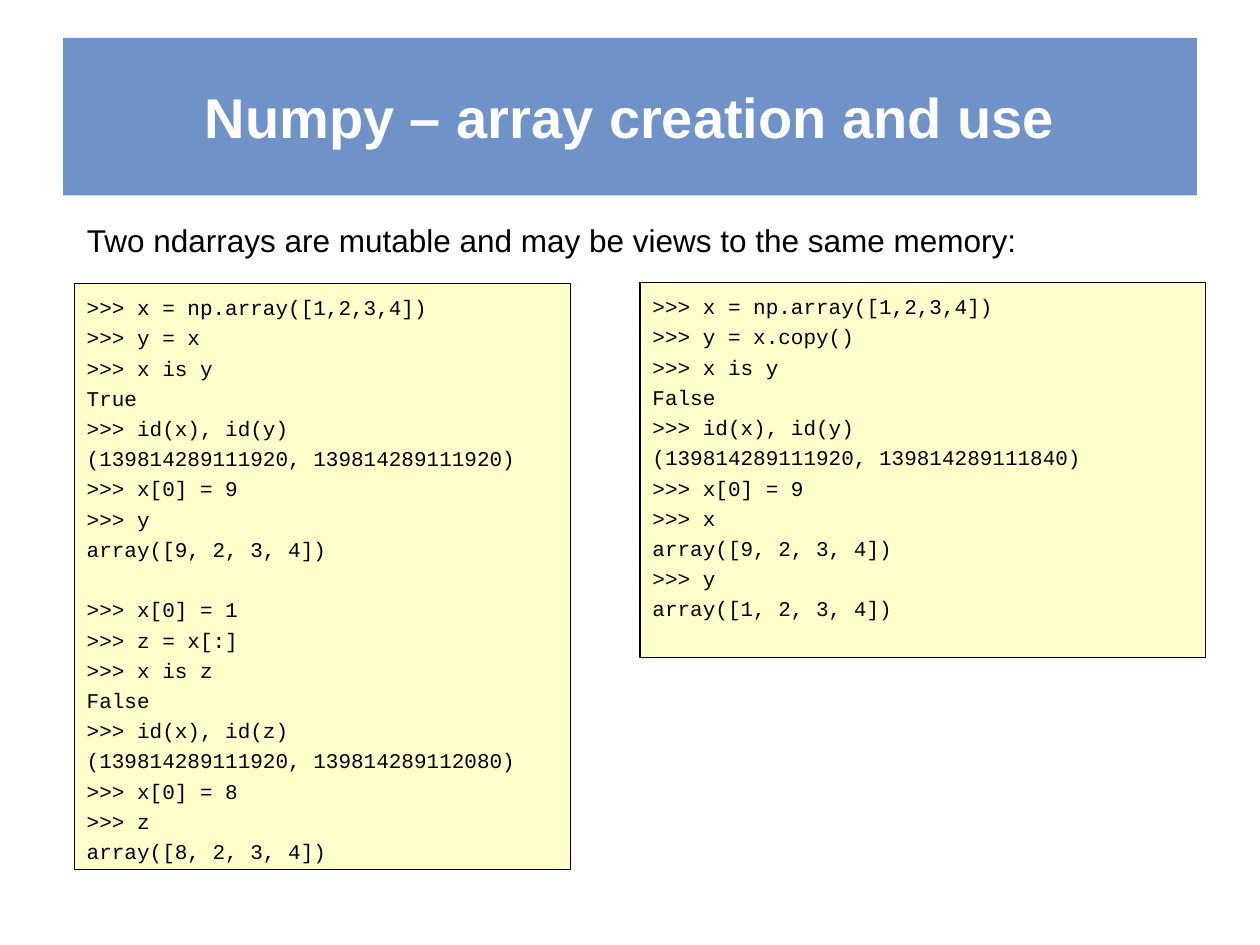
from dataclasses import dataclass
from lxml.etree import SubElement
from pptx import Presentation
from pptx.dml.color import RGBColor
from pptx.enum.shapes import MSO_SHAPE
from pptx.enum.text import MSO_ANCHOR, PP_ALIGN
from pptx.oxml.ns import qn
from pptx.util import Inches, Pt


@dataclass(frozen=True)
class Theme:
    banner: RGBColor = RGBColor.from_string("4775B9")
    banner_alpha: int = 78
    panel: RGBColor = RGBColor.from_string("FFFFCC")
    ink: RGBColor = RGBColor.from_string("000000")
    light: RGBColor = RGBColor.from_string("FFFFFF")
    sans: str = "Arial"
    mono: str = "Courier New"
    title_size: int = 32
    body_size: int = 18
    code_size: int = 12
    code_spacing: float = 1.2
    code_gap: float = 17.28


class Deck:
    def __init__(self, theme):
        self.theme = theme
        self.prs = Presentation()
        self.prs.slide_width, self.prs.slide_height = Inches(10), Inches(7.5)
        self.s = self.prs.slides.add_slide(self.prs.slide_layouts[1])

    def place(self, sp, x, y, w, h):
        width, height = self.prs.slide_width, self.prs.slide_height
        sp.left, sp.top = round(x * width), round(y * height)
        sp.width, sp.height = round(w * width), round(h * height)

    def run(self, p, text, font, size, color, bold=False):
        r = p.add_run()
        r.text = text
        r.font.name, r.font.size, r.font.bold = font, Pt(size), bold
        r.font.color.rgb = color

    def title(self, text, *box):
        t, sp = self.theme, self.s.shapes.title
        self.place(sp, *box)
        sp.fill.solid()
        sp.fill.fore_color.rgb = t.banner
        color = sp.fill._xPr.find(qn("a:solidFill"))[0]
        SubElement(color, qn("a:alpha"), val=str(t.banner_alpha * 1000))
        sp.text_frame.vertical_anchor = MSO_ANCHOR.MIDDLE
        p = sp.text_frame.paragraphs[0]
        p.alignment = PP_ALIGN.CENTER
        self.run(p, text, t.sans, t.title_size, t.light, True)

    def body(self, text, *box):
        t, sp = self.theme, self.s.placeholders[1]
        self.place(sp, *box)
        p = sp.text_frame.paragraphs[0]
        p.space_before = Pt(0)
        pPr = p._p.get_or_add_pPr()
        pPr.set("marL", "0")
        pPr.set("indent", "0")
        SubElement(pPr, qn("a:buNone"))
        self.run(p, text, t.sans, t.body_size, t.ink)

    def code(self, blocks, *box):
        t = self.theme
        sp = self.s.shapes.add_shape(MSO_SHAPE.RECTANGLE, 0, 0, 0, 0)
        self.place(sp, *box)
        sp.shadow.inherit = False
        sp.fill.solid()
        sp.fill.fore_color.rgb = t.panel
        sp.line.color.rgb = t.ink
        sp.line.width = Pt(0.75)
        tf = sp.text_frame
        tf.word_wrap = True
        tf.vertical_anchor = MSO_ANCHOR.TOP
        p = tf.paragraphs[0]
        for i, block in enumerate(blocks):
            for j, line in enumerate(block.splitlines()):
                if i or j:
                    p = tf.add_paragraph()
                p.alignment = PP_ALIGN.LEFT
                p.line_spacing = t.code_spacing
                p.space_before = Pt(t.code_gap if i and not j else 0)
                self.run(p, line, t.mono, t.code_size, t.ink)


SHARED = """\
>>> x = np.array([1,2,3,4])
>>> y = x
>>> x is y
True
>>> id(x), id(y)
(139814289111920, 139814289111920)
>>> x[0] = 9
>>> y
array([9, 2, 3, 4])"""

VIEW = """\
>>> x[0] = 1
>>> z = x[:]
>>> x is z
False
>>> id(x), id(z)
(139814289111920, 139814289112080)
>>> x[0] = 8
>>> z
array([8, 2, 3, 4])"""

COPY = """\
>>> x = np.array([1,2,3,4])
>>> y = x.copy()
>>> x is y
False
>>> id(x), id(y)
(139814289111920, 139814289111840)
>>> x[0] = 9
>>> x
array([9, 2, 3, 4])
>>> y
array([1, 2, 3, 4])"""


def main():
    deck = Deck(Theme())
    deck.title("Numpy – array creation and use", 0.05, 0.04, 0.9, 1 / 6)
    deck.code([SHARED, VIEW], 0.059, 0.3, 0.394, 0.62)
    deck.body("Two ndarrays are mutable and may be views to the same memory:",
              0.059, 0.227, 0.89, 0.053)
    deck.code([COPY], 0.508, 0.299, 0.449, 0.397)
    deck.prs.save("out.pptx")


if __name__ == "__main__":
    main()
